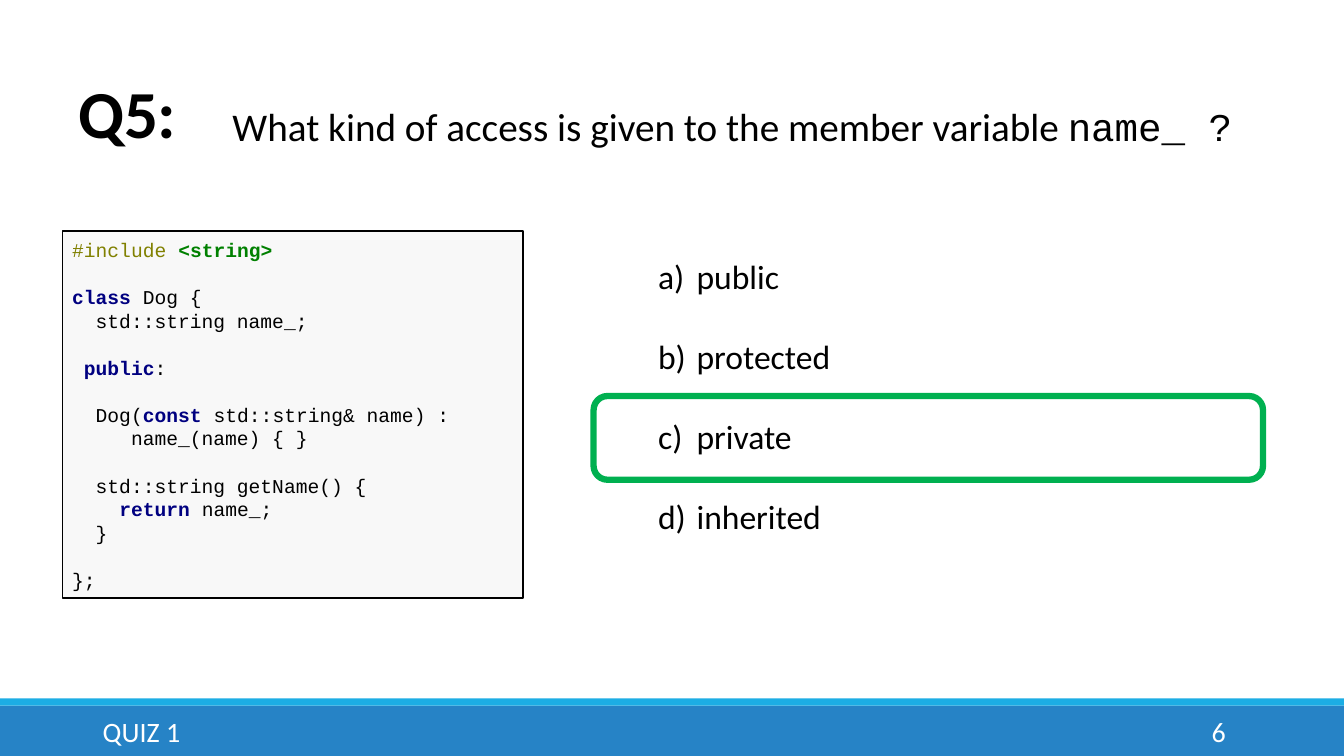
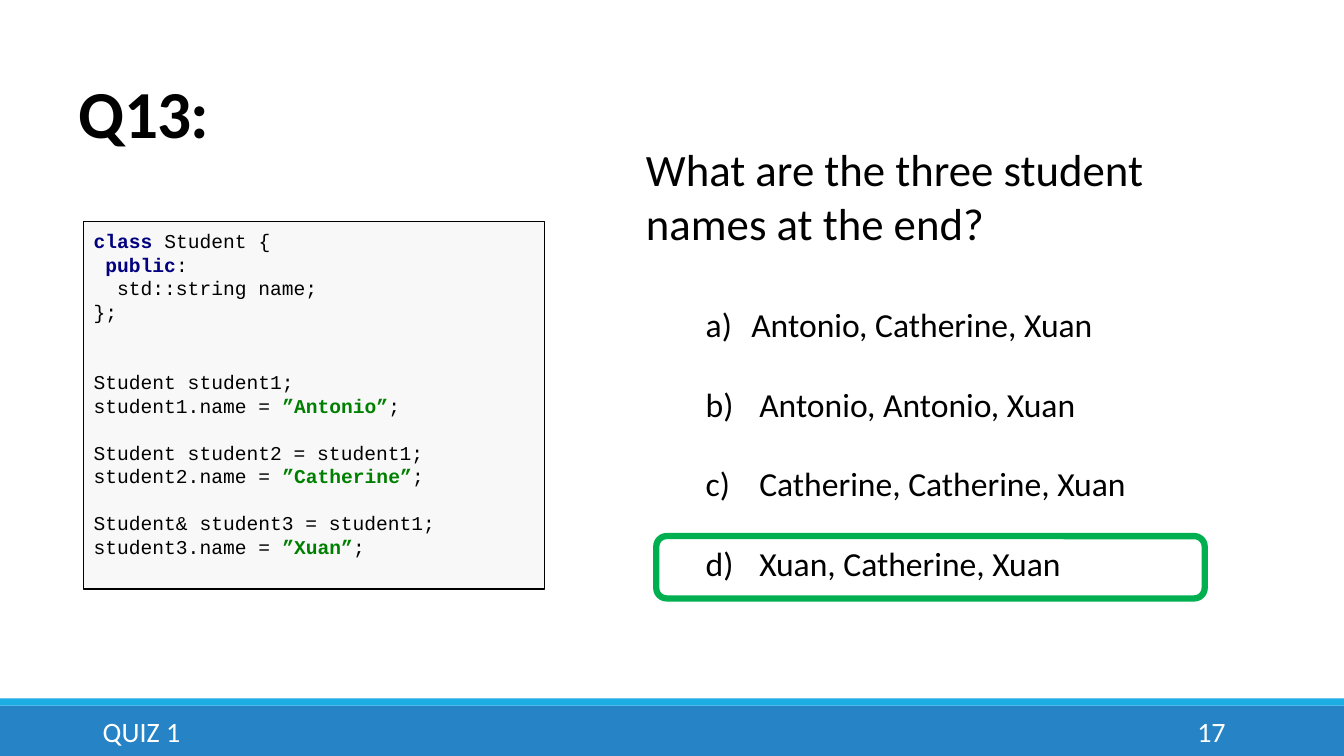
from typing import NamedTuple

from lxml.etree import SubElement
from pptx import Presentation
from pptx.dml.color import RGBColor
from pptx.enum.shapes import MSO_SHAPE
from pptx.enum.text import MSO_ANCHOR, MSO_AUTO_SIZE, PP_ALIGN
from pptx.oxml.ns import qn
from pptx.util import Cm, Pt

INK = {
    "text": "000000", "white": "FFFFFF", "band": "2683C6", "strip": "1CADE4",
    "panel": "F8F8F8", "mark": "00B050",
    "macro": "808000", "value": "008000", "word": "000080",
}
SANS, MONO = "Calibri", "Courier New"
WIDE, HIGH = 33.87, 19.05
LINE = 16.8  # height of a line of code, in points
GAP = 28.3   # space between two options, in points


class Box(NamedTuple):
    x: float
    y: float
    w: float
    h: float

    def cm(self):
        return [Cm(n) for n in self]


class Option(NamedTuple):
    text: str
    hang: float = 0.97


class Quiz(NamedTuple):
    """Backticks mark code in the question and coloured words in the code."""
    title: str
    page: str
    ask: str
    size: int
    ask_box: Box
    code: str
    code_box: Box
    picks: list[Option]
    list_box: Box
    mark_box: Box


TITLE = Box(1.73, 1.8, 27.94, 2.16)
BANDS = [("band", Box(0, 17.78, WIDE, 1.27)), ("strip", Box(0, 17.6, WIDE, 0.18))]
FOOT = Box(2.34, 17.93, 21.31, 1.02)
PAGE = Box(27.51, 17.93, 3.63, 1.02)

QUIZZES = [
    Quiz(
        "Q5:", "6",
        "What kind of access is given to the member variable `name_ ?`",
        28, Box(5.61, 2.46, 26.06, 1.45),
        """`#include` `<string>`

`class` Dog {
  std::string name_;

 `public`:

  Dog(`const` std::string& name) :
     name_(name) { }

  std::string getName() {
    `return` name_;
  }

};""",
        Box(1.57, 5.82, 11.61, 9.25),
        [Option("public"), Option("protected"), Option("private"),
         Option("inherited")],
        Box(16.33, 6.32, 15, 8.8), Box(14.96, 9.98, 16.87, 2.11),
    ),
    Quiz(
        "Q13:", "17", "What are the three student names at the end?",
        32, Box(16.03, 3.45, 16.31, 3),
        """`class` Student {
 `public`:
  std::string name;
};


Student student1;
student1.name = `”Antonio”`;

Student student2 = student1;
student2.name = `”Catherine”`;

Student& student3 = student1;
student3.name = `”Xuan”`;""",
        Box(2.11, 5.59, 11.61, 9.25),
        [Option("Antonio, Catherine, Xuan", 1.15),
         Option("Antonio, Antonio, Xuan", 1.35),
         Option("Catherine, Catherine, Xuan", 1.35),
         Option("Xuan, Catherine, Xuan", 1.35)],
        Box(17.53, 7.52, 12.85, 8.46), Box(16.54, 13.51, 13.82, 1.57),
    ),
]


def hue(name: str) -> RGBColor:
    return RGBColor.from_string(INK[name])


def style(font, size: float, face: str = SANS, ink: str = "text") -> None:
    font.size, font.name = Pt(size), face
    font.color.rgb = hue(ink)


def place(shape, box: Box) -> None:
    shape.left, shape.top, shape.width, shape.height = box.cm()


def panel(slide, kind, box: Box, fill: str = "", line: str = "", width: float = 1):
    shape = slide.shapes.add_shape(kind, *box.cm())
    shape.shadow.inherit = False
    if fill:
        shape.fill.solid()
        shape.fill.fore_color.rgb = hue(fill)
    else:
        shape.fill.background()
    if line:
        shape.line.color.rgb = hue(line)
        shape.line.width = Pt(width)
    else:
        shape.line.fill.background()
    return shape


def label(slide, box: Box, size: float, ink: str = "text",
          anchor=MSO_ANCHOR.TOP, align=PP_ALIGN.LEFT):
    """Add a text box and return its styled first paragraph."""
    frame = slide.shapes.add_textbox(*box.cm()).text_frame
    frame.word_wrap = True
    frame.vertical_anchor = anchor
    para = frame.paragraphs[0]
    para.alignment = align
    style(para.font, size, ink=ink)
    return para


def add_frame(slide, page: str) -> None:
    """Draw the bands, the footer and the page number."""
    for ink, box in BANDS:
        panel(slide, MSO_SHAPE.RECTANGLE, box, ink)
    for text, box, align in (("QUIZ 1", FOOT, PP_ALIGN.LEFT),
                             (page, PAGE, PP_ALIGN.RIGHT)):
        para = label(slide, box, 20, "white", MSO_ANCHOR.MIDDLE, align)
        para.add_run().text = text


def add_title(slide, text: str) -> None:
    title = slide.shapes.title
    place(title, TITLE)
    frame = title.text_frame
    frame.text = text
    frame.vertical_anchor = MSO_ANCHOR.BOTTOM
    frame.auto_size = MSO_AUTO_SIZE.NONE
    para = frame.paragraphs[0]
    para.alignment = PP_ALIGN.LEFT
    para.line_spacing = 0.85
    style(para.font, 48)
    para.font.bold = True
    para.font._rPr.set("spc", "-50")


def add_ask(slide, quiz: Quiz) -> None:
    para = label(slide, quiz.ask_box, quiz.size)
    for i, part in enumerate(quiz.ask.split("`")):
        if part:
            run = para.add_run()
            run.text = part
            if i % 2:
                run.font.name = MONO


def tint(word: str) -> str:
    if word.startswith("#"):
        return "macro"
    return "value" if word[0] in "<”" else "word"


def add_code(slide, code: str, box: Box) -> None:
    shape = panel(slide, MSO_SHAPE.RECTANGLE, box, "panel", "text")
    frame = shape.text_frame
    frame.word_wrap = True
    frame.vertical_anchor = MSO_ANCHOR.TOP
    frame.margin_top = Cm(0.18)
    para, skip = frame.paragraphs[0], 0
    for row, line in enumerate(code.split("\n")):
        if not line:
            skip += 1
            continue
        if row:
            para = frame.add_paragraph()
        para.alignment = PP_ALIGN.LEFT
        para.space_before = Pt(LINE * skip)
        skip = 0
        style(para.font, 14, MONO)
        for i, part in enumerate(line.split("`")):
            if part:
                run = para.add_run()
                run.text = part
                ink = tint(part) if i % 2 else "text"
                run.font.color.rgb = hue(ink)
                run.font.bold = ink not in ("text", "macro")


def add_list(slide, picks: list[Option], box: Box) -> None:
    body = slide.placeholders[1]
    place(body, box)
    frame = body.text_frame
    frame.auto_size = MSO_AUTO_SIZE.NONE
    frame.vertical_anchor = MSO_ANCHOR.TOP
    frame.text = "\n".join(pick.text for pick in picks)
    for para, pick in zip(frame.paragraphs, picks):
        para.space_before, para.space_after = Pt(0), Pt(GAP)
        props = para._p.get_or_add_pPr()
        props.set("marL", str(Cm(pick.hang)))
        props.set("indent", str(-Cm(pick.hang)))
        SubElement(props, qn("a:buFont"), typeface="+mj-lt")
        SubElement(props, qn("a:buAutoNum"), type="alphaLcParenR")
        style(para.font, 24)


def main() -> None:
    deck = Presentation()
    deck.slide_width, deck.slide_height = Cm(WIDE), Cm(HIGH)
    for quiz in QUIZZES:
        slide = deck.slides.add_slide(deck.slide_layouts[1])
        add_frame(slide, quiz.page)
        add_title(slide, quiz.title)
        add_code(slide, quiz.code, quiz.code_box)
        add_ask(slide, quiz)
        add_list(slide, quiz.picks, quiz.list_box)
        panel(slide, MSO_SHAPE.ROUNDED_RECTANGLE, quiz.mark_box,
              line="mark", width=4.5)
    deck.save("out.pptx")


if __name__ == "__main__":
    main()
